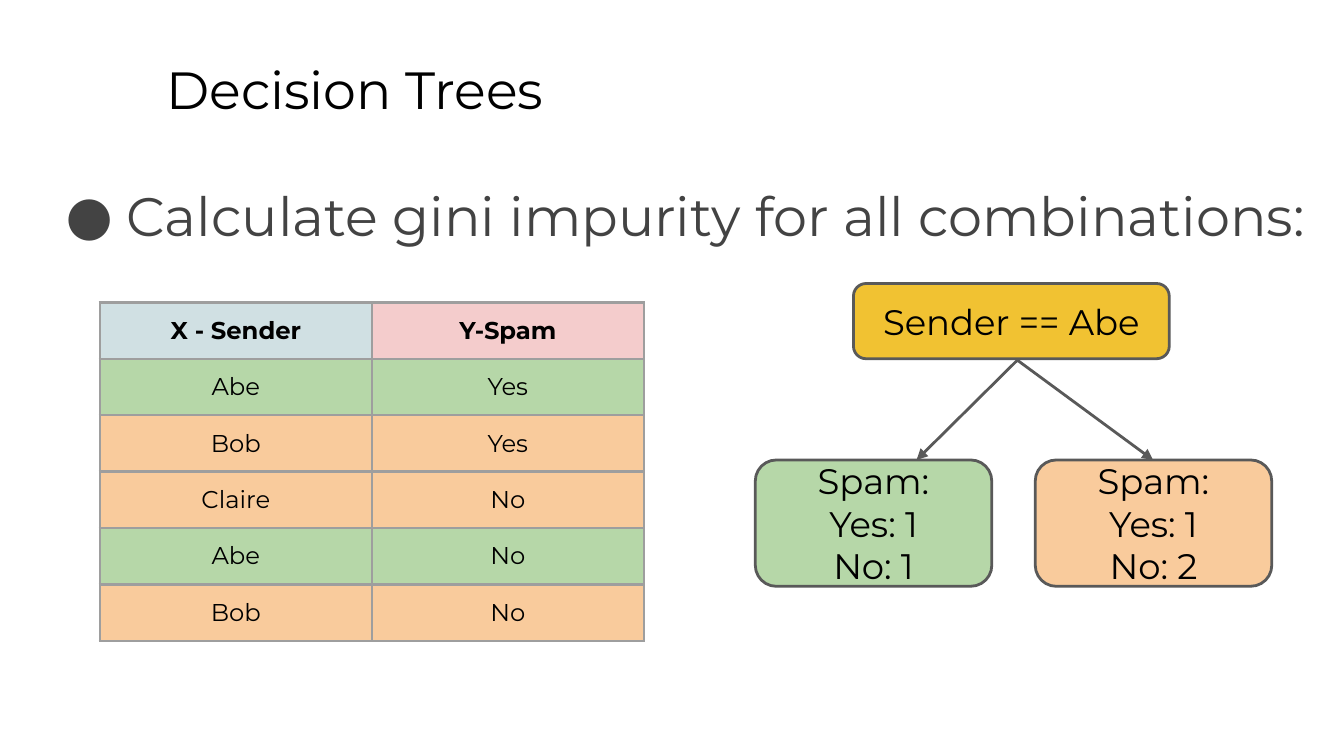
"""Build a slide on Gini impurity for a decision tree split."""
from pptx import Presentation
from pptx.dml.color import RGBColor
from pptx.enum.shapes import MSO_CONNECTOR as Link, MSO_SHAPE as Shape
from pptx.enum.text import MSO_ANCHOR as Anchor, PP_ALIGN as Align
from pptx.oxml import parse_xml
from pptx.oxml.ns import nsdecls
from pptx.util import Inches, Pt

COLUMNS, ROWS = 100, 56.25
UNIT = Inches(0.1)
FONT = "Montserrat"
BLACK = RGBColor(0x00, 0x00, 0x00)
CHARCOAL = RGBColor(0x43, 0x43, 0x43)
OUTLINE = RGBColor(0x59, 0x59, 0x59)
BORDER = RGBColor(0x9E, 0x9E, 0x9E)
BLUE = RGBColor(0xD0, 0xE0, 0xE3)
PINK = RGBColor(0xF4, 0xCC, 0xCC)
GREEN = RGBColor(0xB6, 0xD7, 0xA8)
ORANGE = RGBColor(0xF9, 0xCB, 0x9C)
YELLOW = RGBColor(0xF1, 0xC2, 0x32)

HEADINGS = ("X - Sender", "Y-Spam")
EMAILS = (("Abe", "Yes"), ("Bob", "Yes"), ("Claire", "No"), ("Abe", "No"), ("Bob", "No"))


def grid(*cells):
    """Turn grid positions into lengths."""
    return [round(cell * UNIT) for cell in cells]


def add_xml(parent, xml):
    """Append a DrawingML element to its parent."""
    parent.append(parse_xml(xml.replace(" ", f" {nsdecls('a')} ", 1)))


def write(frame, text, size=19, color=BLACK, bold=False, align=Align.CENTER, bullet=None):
    """Fill a text frame, one paragraph for each line of text."""
    frame.word_wrap = True
    frame.margin_left = frame.margin_right = UNIT
    frame.margin_top = frame.margin_bottom = UNIT
    frame.text = text
    for paragraph in frame.paragraphs:
        paragraph.alignment = align
        if bullet:
            properties = paragraph._p.get_or_add_pPr()
            properties.set("marL", str(Inches(0.5)))
            properties.set("indent", str(-Inches(0.45)))
            add_xml(properties, f'<a:buClr ><a:srgbClr val="{color}"/></a:buClr>')
            add_xml(properties, f'<a:buFont typeface="{FONT}"/>')
            add_xml(properties, f'<a:buChar char="{bullet}"/>')
        for run in paragraph.runs:
            font = run.font
            font.name, font.size, font.bold = FONT, Pt(size), bold
            font.color.rgb = color


def add_text(slide, place, text, **text_format):
    """Place a text box on the grid."""
    write(slide.shapes.add_textbox(*grid(*place)).text_frame, text, **text_format)


def fill_cell(cell, text, color, bold):
    """Write, border and fill one table cell."""
    write(cell.text_frame, text, size=13, bold=bold)
    cell.margin_left = cell.margin_right = UNIT
    cell.margin_top = cell.margin_bottom = UNIT
    for side in "LRTB":
        add_xml(cell._tc.get_or_add_tcPr(),
                f'<a:ln{side} w="{Pt(1.5)}"><a:solidFill><a:srgbClr val="{BORDER}"/>'
                f'</a:solidFill></a:ln{side}>')
    cell.fill.solid()
    cell.fill.fore_color.rgb = color


def add_emails(slide, left, top, column_width, row_height):
    """Add the email table, coloured by the branch each sender falls into."""
    lines = (HEADINGS, *EMAILS)
    place = grid(left, top, column_width * len(HEADINGS), row_height * len(lines))
    table = slide.shapes.add_table(len(lines), len(HEADINGS), *place).table
    table.horz_banding = table.first_row = False
    for column in table.columns:
        column.width = grid(column_width)[0]
    for index, (row, line) in enumerate(zip(table.rows, lines)):
        row.height = grid(row_height)[0]
        branch = GREEN if line[0] == "Abe" else ORANGE
        colors = (branch, branch) if index else (BLUE, PINK)
        for cell, text, color in zip(row.cells, line, colors):
            fill_cell(cell, text, color, bold=index == 0)


def add_node(slide, place, text, color):
    """Add a rounded tree node."""
    node = slide.shapes.add_shape(Shape.ROUNDED_RECTANGLE, *grid(*place))
    node.shadow.inherit = False
    node.fill.solid()
    node.fill.fore_color.rgb = color
    node.line.color.rgb = OUTLINE
    node.line.width = Pt(1.5)
    node.text_frame.vertical_anchor = Anchor.MIDDLE
    write(node.text_frame, text)


def add_branch(slide, start, end):
    """Add an arrow from the question to one of its answers."""
    branch = slide.shapes.add_connector(Link.STRAIGHT, *grid(*start, *end))
    branch.line.color.rgb = OUTLINE
    branch.line.width = Pt(1.5)
    add_xml(branch.line._get_or_add_ln(), '<a:tailEnd type="triangle"/>')
    add_xml(branch._element.spPr, "<a:effectLst />")


def add_tree(slide):
    """Add the question node with a branch and a leaf for each answer."""
    root, leaf_top = (75.7, 26.8), 34.23
    add_node(slide, (63.5, 21.1, 23.5, 5.6), "Sender == Abe", YELLOW)
    leaves = ((56.2, 68.2, 1, GREEN), (77.03, 85.8, 2, ORANGE))
    for left, tip, refused, color in leaves:
        add_branch(slide, root, (tip, leaf_top))
        add_node(slide, (left, leaf_top, 17.6, 9.4), f"Spam:\nYes: 1\nNo: {refused}", color)


def main():
    """Build and save the slide."""
    deck = Presentation()
    deck.slide_width, deck.slide_height = grid(COLUMNS, ROWS)
    slide = deck.slides.add_slide(deck.slide_layouts[6])
    add_text(slide, (11.4, 3.24, 85.2, 6.3), "Decision Trees", size=28, align=Align.LEFT)
    add_text(slide, (3.4, 12.6, 96.6, 37.4), "Calculate gini impurity for all combinations:",
             size=29, color=CHARCOAL, align=Align.LEFT, bullet="●")
    add_emails(slide, left=7.43, top=22.5, column_width=20.24, row_height=4.2)
    add_tree(slide)
    deck.save("out.pptx")


if __name__ == "__main__":
    main()
